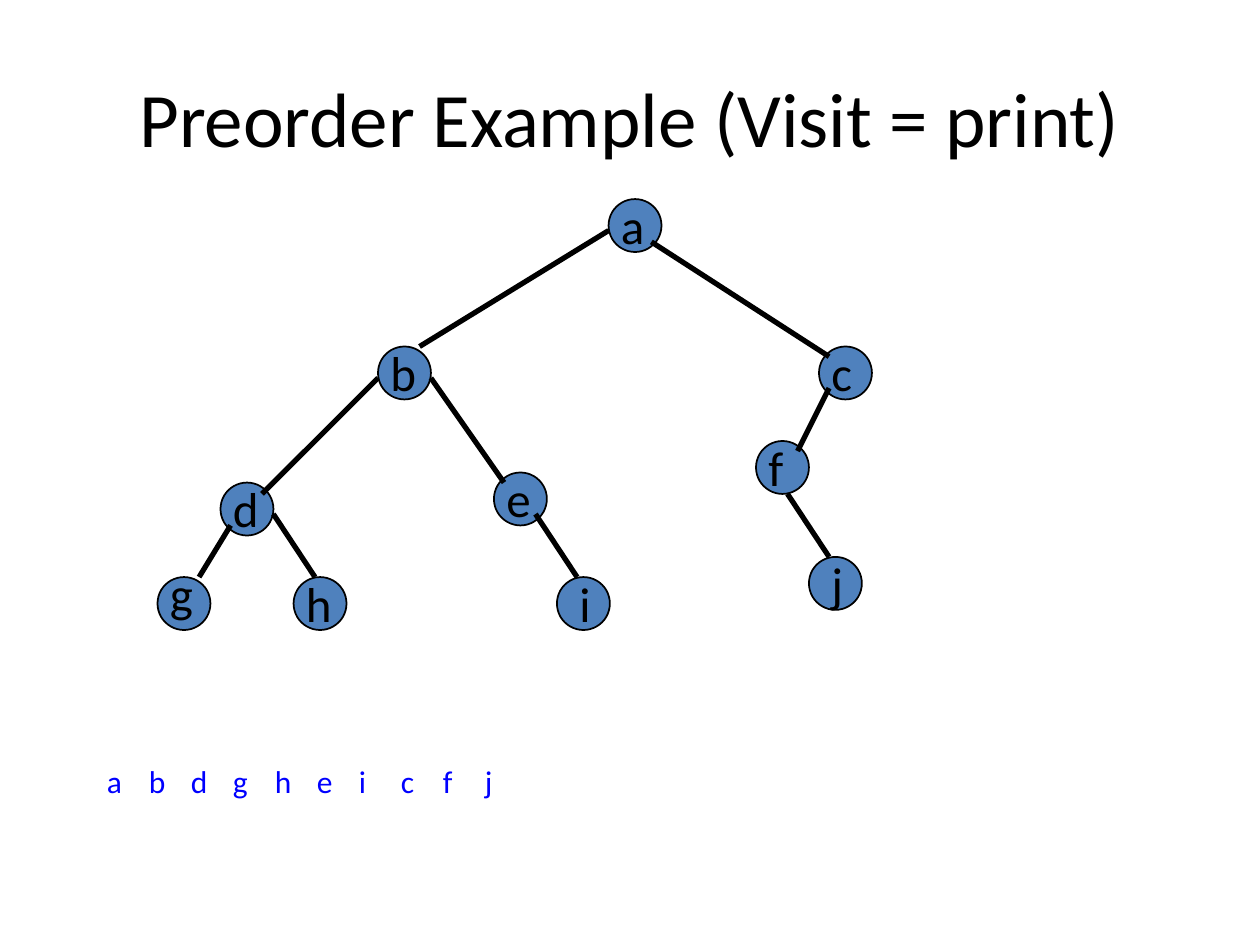
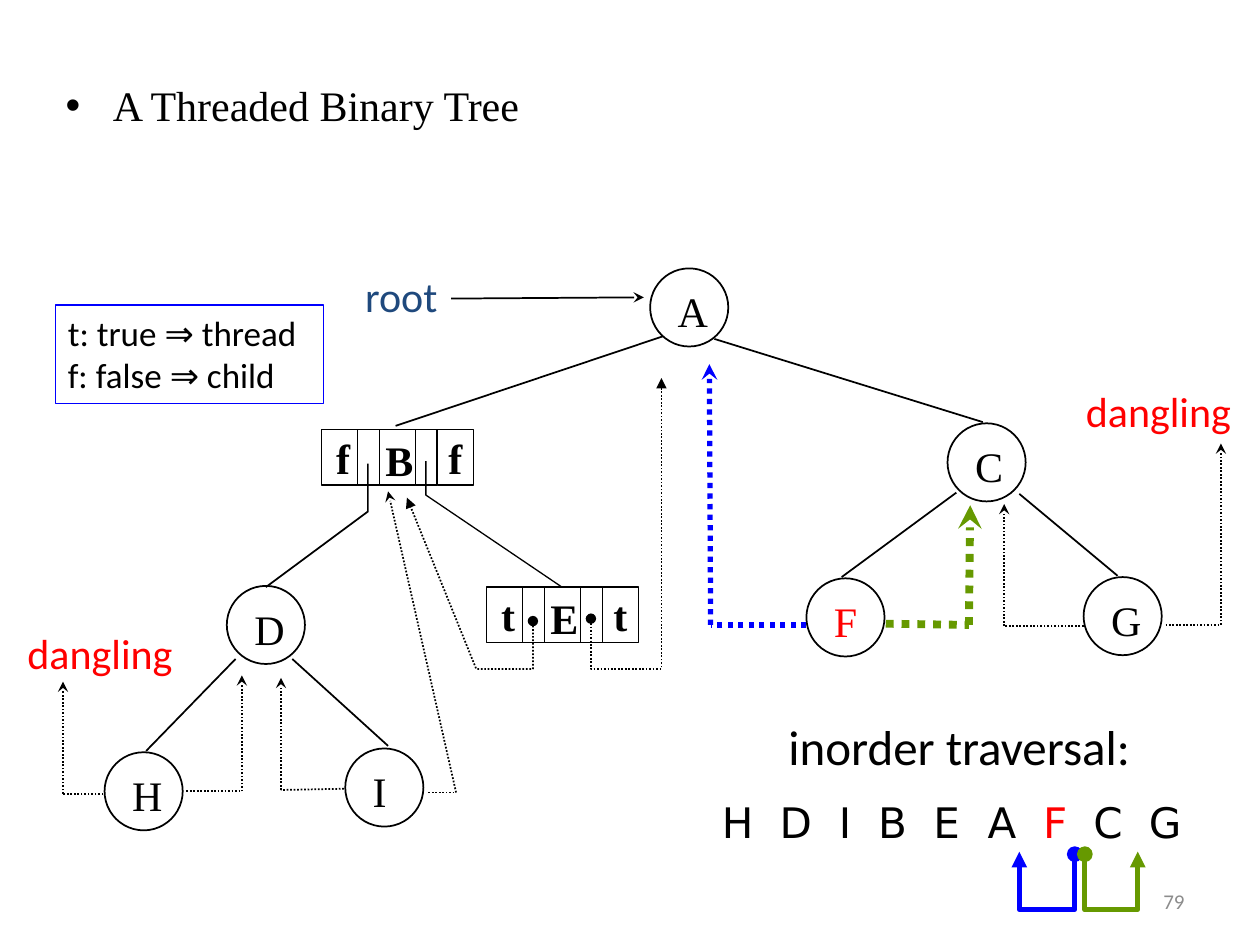
from itertools import accumulate, pairwise

from pptx import Presentation
from pptx.dml.color import RGBColor
from pptx.enum.dml import MSO_LINE
from pptx.enum.shapes import MSO_CONNECTOR, MSO_SHAPE
from pptx.enum.text import MSO_ANCHOR, PP_ALIGN
from pptx.oxml.ns import qn
from pptx.util import Inches, Pt
from lxml.etree import SubElement

SANS, SERIF, WIDE = "Calibri", "Times New Roman", "DejaVu Sans"
BLACK, RED, BLUE, GREEN = "000000", "FF0000", "0000FF", "669900"
STEEL, NAVY, GREY = "4F81BD", "1F497D", "8C8C8C"


def color(code):
    return RGBColor.from_string(code)


class Deck:
    def __init__(self):
        self.prs = Presentation()
        self.prs.slide_width, self.prs.slide_height = Inches(10), Inches(7.5)
        self.slide = None

    def start(self, layout):
        self.slide = self.prs.slides.add_slide(self.prs.slide_layouts[layout])

    def place(self, shape, x, y, w, h):
        shape.left, shape.top = Inches(x), Inches(y)
        shape.width, shape.height = Inches(w), Inches(h)

    def add_run(self, par, text, size, font=SANS, ink=BLACK, bold=False):
        run = par.add_run()
        run.text = text
        run.font.size, run.font.name, run.font.bold = Pt(size), font, bold
        run.font.color.rgb = color(ink)

    def title(self, text):
        box = self.slide.shapes.title
        self.place(box, 0.5, 0.3, 9, 1.25)
        box.text_frame.vertical_anchor = MSO_ANCHOR.MIDDLE
        par = box.text_frame.paragraphs[0]
        par.alignment = PP_ALIGN.CENTER
        self.add_run(par, text, 44)

    def bullet(self, text):
        """Fill the body placeholder and drop the unused title."""
        head = self.slide.shapes.title.element
        head.getparent().remove(head)
        box = self.slide.placeholders[1]
        self.place(box, 0.42, 0.58, 9.58, 6.92)
        par = box.text_frame.paragraphs[0]
        par.space_before = Pt(0)
        self.add_run(par, text, 24, SERIF)

    def text(self, x, y, w, h, text, size, **style):
        """Add a text box and return its first paragraph."""
        box = self.slide.shapes.add_textbox(Inches(x), Inches(y), Inches(w), Inches(h))
        box.text_frame.word_wrap = True
        par = box.text_frame.paragraphs[0]
        if text:
            self.add_run(par, text, size, **style)
        return par

    def row(self, x, y, w, h, letters, stops, size, special):
        """Letters set on tab stops, with one letter in red."""
        par = self.text(x, y, w, h, "", size)
        tabs = SubElement(par._p.get_or_add_pPr(), qn("a:tabLst"))
        for stop in stops:
            SubElement(tabs, qn("a:tab"), pos=str(Inches(stop)), algn="l")
        for i, letter in enumerate(letters):
            if i:
                self.add_run(par, "\t", size, WIDE)
            self.add_run(par, letter, size, WIDE, RED if letter == special else BLACK)

    def pen(self, shape, ink, width, dots=False, head=None, tail=None):
        """Style an outline, with optional dots and arrowheads."""
        line = shape.line
        line.color.rgb = color(ink)
        line.width = Pt(width)
        if dots:
            line.dash_style = MSO_LINE.ROUND_DOT
        ln = shape._element.spPr.find(qn("a:ln"))
        for tag, kind in (("a:headEnd", head), ("a:tailEnd", tail)):
            if kind:
                SubElement(ln, qn(tag), type=kind)

    def shape(self, kind, x, y, w, h, fill=None, ink=BLACK, width=1):
        shape = self.slide.shapes.add_shape(kind, Inches(x), Inches(y), Inches(w), Inches(h))
        shape.shadow.inherit = False
        if fill:
            shape.fill.solid()
            shape.fill.fore_color.rgb = color(fill)
        else:
            shape.fill.background()
        self.pen(shape, ink, width)
        return shape

    def line(self, start, end, ink=BLACK, width=1, **ends):
        link = self.slide.shapes.add_connector(
            MSO_CONNECTOR.STRAIGHT, *map(Inches, (*start, *end)))
        SubElement(link._element.spPr, qn("a:effectLst"))
        self.pen(link, ink, width)
        effects = link._element.spPr.find(qn("a:effectLst"))
        link._element.spPr.append(effects)
        self.pen(link, ink, width, **ends)

    def thread(self, points, ink=BLACK, width=1):
        """Dotted straight pieces with an arrow on the last one."""
        for start, end in pairwise(points):
            tail = "stealth" if end == points[-1] else None
            self.line(start, end, ink, width, dots=True, tail=tail)

    def bend(self, points, ink=BLACK, width=1, **ends):
        """One open outline through all the points."""
        spots = [(Inches(x), Inches(y)) for x, y in points]
        form = self.slide.shapes.build_freeform(*spots[0])
        form.add_line_segments(spots[1:], close=False)
        path = form.convert_to_shape()
        path.shadow.inherit = False
        path.fill.background()
        self.pen(path, ink, width, **ends)

    def node(self, x, y, letter, ink=BLACK):
        self.shape(MSO_SHAPE.OVAL, x, y, 0.62, 0.62)
        self.text(x + 0.12, y + 0.09, 0.5, 0.5, letter, 24, font=SERIF, ink=ink)

    def record(self, x, y, letter, flag):
        """Five cells: flag, link, letter, link, flag."""
        widths = [0.29, 0.17, 0.29, 0.17, 0.29]
        for left, w in zip(accumulate(widths, initial=x), widths):
            self.shape(MSO_SHAPE.RECTANGLE, left, y, w, 0.44, width=0.75)
        for dx, dy, mark in ((0.02, -0.03, flag), (0.41, -0.01, letter), (0.91, -0.03, flag)):
            self.text(x + dx, y + dy, 0.5, 0.5, mark, 24, font=SERIF, bold=True)


def preorder(deck):
    deck.start(5)
    deck.title("Preorder Example (Visit = print)")
    nodes = {"a": (4.83, 1.58), "b": (3, 2.75), "c": (6.5, 2.75), "d": (1.75, 3.83),
             "e": (3.92, 3.75), "f": (6, 3.5), "g": (1.25, 4.58), "h": (2.33, 4.58),
             "i": (4.42, 4.58), "j": (6.42, 4.42)}
    nudges = {"g": (0, -0.16), "i": (0.08, -0.08), "j": (0.08, -0.08)}
    edges = [((4.83, 1.83), (3.33, 2.75)), ((5.17, 1.92), (6.58, 2.83)),
             ((3, 3), (2.08, 3.92)), ((3.42, 3), (4, 3.83)),
             ((6.58, 3.08), (6.33, 3.58)), ((6.25, 3.92), (6.58, 4.42)),
             ((1.83, 4.17), (1.58, 4.58)), ((2.17, 4.08), (2.5, 4.58)),
             ((4.25, 4.08), (4.58, 4.58))]
    for x, y in nodes.values():
        deck.shape(MSO_SHAPE.OVAL, x, y, 0.42, 0.42, fill=STEEL)
    for start, end in edges:
        deck.line(start, end, width=3)
    for letter, (x, y) in nodes.items():
        dx, dy = nudges.get(letter, (0, -0.08))
        deck.text(x + dx, y + dy, 0.83, 0.57, letter, 28)
    for i, letter in enumerate("abdgheicfj"):
        deck.text(0.75 + i / 3, 6, 0.42, 0.63, letter, 18, ink=BLUE)


def threaded(deck):
    deck.start(1)
    deck.bullet("A Threaded Binary Tree")
    for x, y, letter in ((5.16, 2.13, "A"), (7.52, 3.36, "C"), (1.8, 4.65, "D"),
                         (8.6, 4.58, "G"), (0.83, 5.97, "H"), (2.74, 5.94, "I")):
        deck.node(x, y, letter)
    deck.node(6.4, 4.59, "F", RED)
    deck.record(2.55, 3.41, "B", "f")
    deck.record(3.86, 4.66, "E", "t")

    for start, end in (((5.26, 2.67), (3.14, 3.38)), ((5.67, 2.69), (7.8, 3.35)),
                       ((7.59, 3.91), (6.68, 4.58)), ((8.09, 3.92), (8.87, 4.57)),
                       ((1.87, 5.23), (1.16, 5.96)), ((2.32, 5.23), (3.08, 5.92))):
        deck.line(start, end)
    deck.bend([(2.92, 3.68), (2.92, 4.06), (2.11, 4.66)])
    deck.bend([(3.38, 3.66), (3.38, 3.93), (4.46, 4.66)], width=0.75)
    deck.line((3.58, 2.37), (5.11, 2.36), tail="stealth")

    for points in ([(3.4, 6.29), (3.62, 6.29), (3.08, 3.9)],
                   [(2.73, 6.26), (2.23, 6.27), (2.23, 5.38)],
                   [(1.48, 6.28), (1.92, 6.28), (1.92, 5.36)],
                   [(8.6, 4.97), (7.97, 4.97), (7.97, 4)],
                   [(0.82, 6.3), (0.5, 6.3), (0.5, 5.41)],
                   [(9.25, 4.96), (9.69, 4.96), (9.69, 3.52)]):
        deck.thread(points)
    deck.thread([(6.4, 4.96), (5.64, 4.96), (5.63, 2.89)], BLUE, 3)
    deck.thread([(7.03, 4.95), (7.69, 4.96), (7.7, 4.01)], GREEN, 4.5)

    ends = {"head": "oval", "tail": "triangle"}
    deck.bend([(4.69, 4.91), (4.69, 5.31), (5.25, 5.31), (5.25, 3)], dots=True, **ends)
    deck.bend([(4.23, 4.93), (4.23, 5.31), (3.78, 5.31), (3.23, 3.95)], dots=True, **ends)
    for right, left, ink in ((8.53, 8.09, BLUE), (8.61, 9.03, GREEN)):
        deck.bend([(right, 6.78), (right, 7.22), (left, 7.22), (left, 6.76)], ink, 3, **ends)

    for x, y in ((0.12, 4.93), (8.52, 3.01)):
        deck.text(x, y, 1.47, 0.5, "dangling", 24, ink=RED)
    deck.text(2.8, 2.1, 1, 0.5, "root", 24, ink=NAVY)
    deck.text(6.16, 5.64, 3.13, 0.57, "inorder traversal:", 28)
    stops = [0.46, 0.93, 1.24, 1.68, 2.11, 2.55, 2.95, 3.39]
    deck.row(5.63, 6.27, 4.09, 0.5, "HDIBEAFCG", stops, 24, "F")

    key = deck.shape(MSO_SHAPE.RECTANGLE, 0.44, 2.42, 2.13, 0.78, ink=BLUE, width=0.75)
    frame = key.text_frame
    frame.word_wrap, frame.vertical_anchor = True, MSO_ANCHOR.TOP
    for par, text in ((frame.paragraphs[0], "t: true ⇒ thread"),
                      (frame.add_paragraph(), "f: false ⇒ child")):
        par.alignment = PP_ALIGN.LEFT
        deck.add_run(par, text, 20)

    page = deck.text(7.17, 7, 2.33, 0.3, "79", 12, ink=GREY)
    page.alignment = PP_ALIGN.RIGHT


def main():
    deck = Deck()
    preorder(deck)
    threaded(deck)
    deck.prs.save("out.pptx")


if __name__ == "__main__":
    main()
